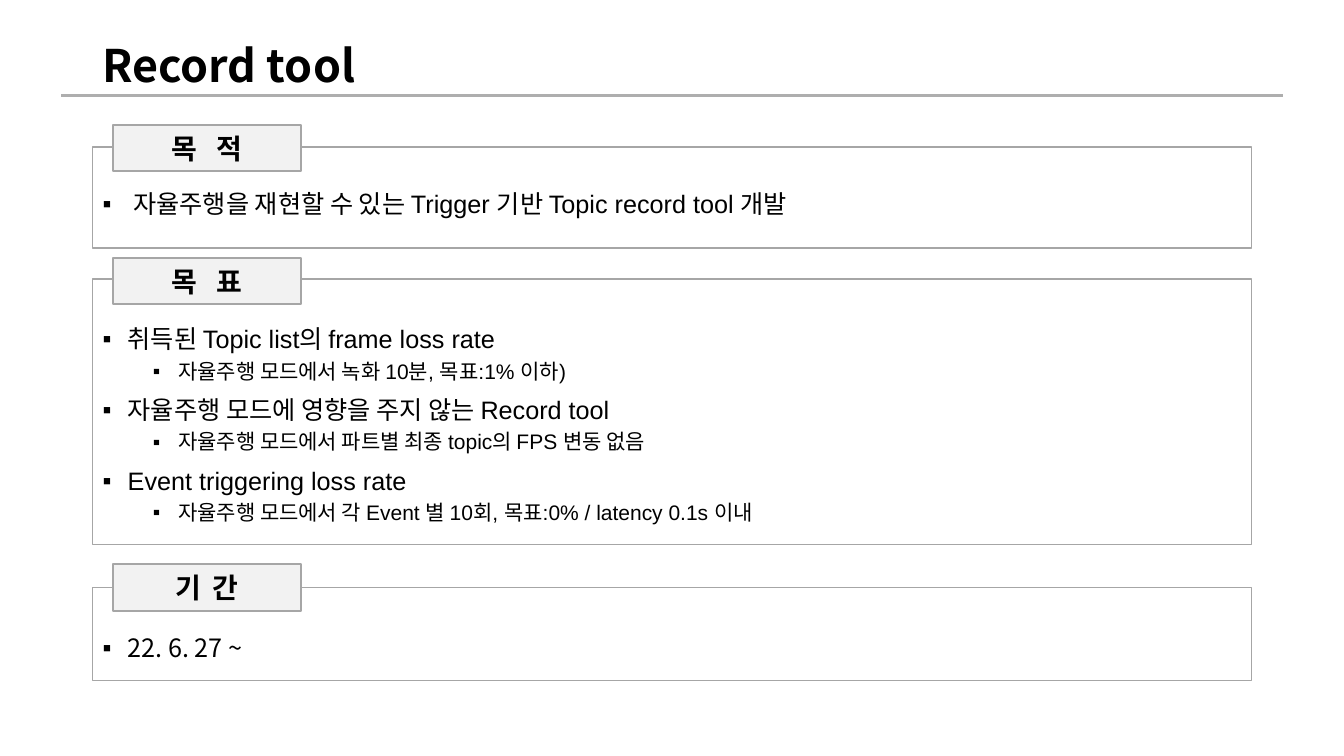
"""Build the Record tool slide with its purpose, goals and period."""
import pptx
import pptx.dml.color
import pptx.enum.shapes
import pptx.enum.text
import pptx.oxml
import pptx.oxml.ns
import pptx.util
import lxml.etree

Pt = pptx.util.Pt
ALIGN = pptx.enum.text.PP_ALIGN
ANCHOR = pptx.enum.text.MSO_ANCHOR
SANS = "Noto Sans CJK KR"


class Deck:
    COLORS = {"text": "000000", "rule": "AEAEAE", "edge": "A6A6A6", "tab": "F2F2F2"}
    FONTS = {
        "title": {"size": Pt(32), "bold": True, "name": SANS},
        "tab": {"size": Pt(20), "bold": True, "name": SANS},
        "main": {"size": Pt(18), "name": "Arial"},
        "sub": {"size": Pt(15), "name": "Arial"},
        "date": {"size": Pt(18), "name": SANS},
    }
    LEVELS = {"main": (0, 18, 10), "date": (0, 18, 10), "sub": (1, 54, 5)}

    def __init__(self):
        self.file = pptx.Presentation()
        self.file.slide_width, self.file.slide_height = Pt(960), Pt(540)
        self.slide = self.file.slides.add_slide(self.file.slide_layouts[6])

    def color(self, key):
        return pptx.dml.color.RGBColor.from_string(self.COLORS[key])

    def apply(self, item, form):
        for key, value in form.items():
            setattr(item, key, value)

    def node(self, owner, tag, **attrs):
        child = lxml.etree.SubElement(owner, pptx.oxml.ns.qn(tag))
        for key, value in attrs.items():
            child.set(key, value)

    def run(self, para, text, style, space=0):
        run = para.add_run()
        run.text = text
        self.apply(run.font, self.FONTS[style])
        run.font.color.rgb = self.color("text")
        props = run._r.get_or_add_rPr()
        self.node(props, "a:ea", typeface=SANS)
        if space:
            props.set("spc", str(space * 100))

    def rule(self, left, right, top):
        line = self.slide.shapes.add_connector(
            pptx.enum.shapes.MSO_CONNECTOR.STRAIGHT, Pt(left), Pt(top), Pt(right), Pt(top))
        line.line.color.rgb = self.color("rule")
        line.line.width = Pt(2)
        self.node(line._element.spPr, "a:effectLst")

    def title(self, text, left, top, width, height):
        box = self.slide.shapes.add_textbox(Pt(left), Pt(top), Pt(width), Pt(height))
        self.apply(box.text_frame, {"word_wrap": True, "vertical_anchor": ANCHOR.MIDDLE})
        para = box.text_frame.paragraphs[0]
        para.line_spacing = 0.9
        self.run(para, text, "title")

    def rect(self, left, top, width, height, weight, fill=None):
        box = self.slide.shapes.add_shape(
            pptx.enum.shapes.MSO_SHAPE.RECTANGLE, Pt(left), Pt(top), Pt(width), Pt(height))
        box.shadow.inherit = False
        if fill:
            box.fill.solid()
            box.fill.fore_color.rgb = self.color(fill)
        else:
            box.fill.background()
        box.line.color.rgb = self.color("edge")
        box.line.width = Pt(weight)
        return box.text_frame

    def tab(self, words, gap, left, top):
        frame = self.rect(left, top, 134.6, 33.1, 1.5, "tab")
        self.apply(frame, {
            "word_wrap": True, "vertical_anchor": ANCHOR.MIDDLE,
            "margin_left": Pt(5.8), "margin_right": Pt(5.8),
            "margin_top": Pt(2.9), "margin_bottom": Pt(2.9)})
        para = frame.paragraphs[0]
        para.alignment = ALIGN.CENTER
        first, last = words
        for text, space in ((first, 0), (" ", gap), (last, 0)):
            self.run(para, text, "tab", space)

    def panel(self, top, height, inset, items):
        frame = self.rect(66.2, top, 828, height, 1)
        self.apply(frame, {
            "word_wrap": True, "vertical_anchor": ANCHOR.TOP, "margin_top": Pt(inset)})
        for index, (style, text) in enumerate(items):
            para = frame.paragraphs[0] if index == 0 else frame.add_paragraph()
            level, indent, before = self.LEVELS[style]
            self.apply(para, {
                "level": level, "alignment": ALIGN.LEFT, "line_spacing": 0.9,
                "space_before": Pt(before if index else 0)})
            props = para._p.get_or_add_pPr()
            props.set("marL", str(Pt(indent)))
            props.set("indent", str(Pt(-18)))
            self.node(props, "a:buFont", typeface="Arial")
            self.node(props, "a:buChar", char="▪")
            self.run(para, text, style)


PARTS = [
    ("목적", 9, 89.3, 105.1, 72, 32, [
        ("main", " 자율주행을 재현할 수 있는 Trigger 기반 Topic record tool 개발")]),
    ("목표", 9, 184.3, 199.4, 189.4, 34, [
        ("main", "취득된 Topic list의 frame loss rate"),
        ("sub", "자율주행 모드에서 녹화 10분, 목표:1% 이하)"),
        ("main", "자율주행 모드에 영향을 주지 않는 Record tool"),
        ("sub", "자율주행 모드에서 파트별 최종 topic의 FPS 변동 없음"),
        ("main", "Event triggering loss rate"),
        ("sub", "자율주행 모드에서 각 Event 별 10회, 목표:0% / latency 0.1s 이내")]),
    ("기간", 4.5, 403.2, 419.8, 66.2, 34, [("date", "22. 6. 27 ~")]),
]


def main():
    deck = Deck()
    deck.rule(43.9, 916.6, 68.4)
    deck.title("Record tool", 66.2, 28.8, 797, 39.6)
    for words, gap, head, top, height, inset, items in PARTS:
        deck.panel(top, height, inset, items)
        deck.tab(words, int(gap), 80.6, head)
    deck.file.save("out.pptx")


if __name__ == "__main__":
    main()
